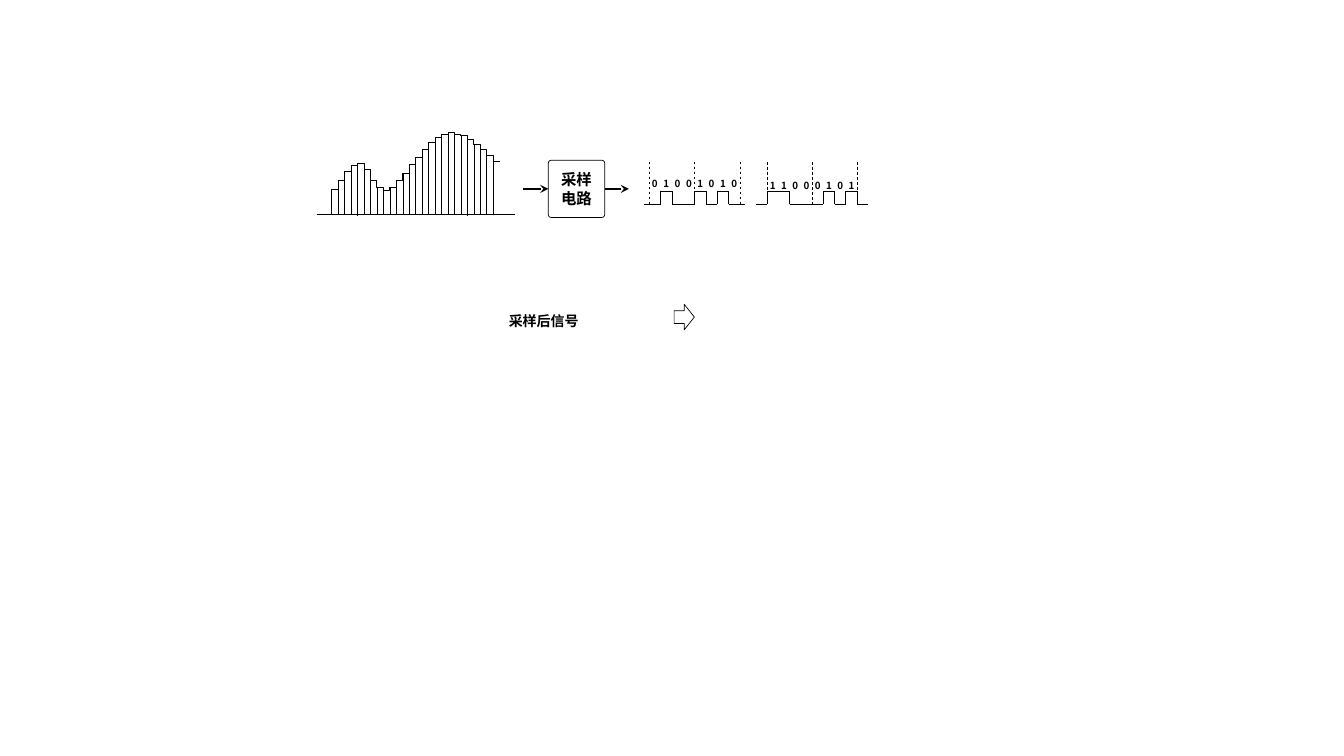
from dataclasses import dataclass

from lxml.etree import SubElement
from pptx import Presentation
from pptx.dml.color import RGBColor
from pptx.enum.dml import MSO_LINE_DASH_STYLE as Dash
from pptx.enum.shapes import MSO_CONNECTOR as Link, MSO_SHAPE as Preset
from pptx.enum.text import MSO_ANCHOR as Anchor, PP_ALIGN as Align
from pptx.oxml.ns import qn
from pptx.util import Cm, Pt


@dataclass(frozen=True)
class Theme:
    ink = RGBColor(0, 0, 0)
    paper = RGBColor(255, 255, 255)
    label_font = "DejaVu Sans Mono"
    bit_font = "Noto Sans CJK SC"
    bit_size, label_size, circuit_size = 7, 10, 11
    dotted, thin, thick = 0.25, 0.5, 1


@dataclass(frozen=True)
class Box:
    """A region, in centimetres."""
    left: float
    top: float
    width: float
    height: float

    @property
    def right(self):
        return self.left + self.width

    @property
    def bottom(self):
        return self.top + self.height

    @property
    def lengths(self):
        return Cm(self.left), Cm(self.top), Cm(self.width), Cm(self.height)


THEME = Theme()
SAMPLE_HEIGHTS = [
    0.64, 0.86, 1.09, 1.24, 1.30, 1.14, 0.86, 0.69, 0.61, 0.69, 0.86, 1.04, 1.27,
    1.45, 1.65, 1.83, 1.96, 2.03, 2.08, 2.03, 2.01, 1.91, 1.78, 1.65, 1.50, 1.35,
]


# Drawing helpers
def set_outline(shape, width=THEME.thin):
    shape.line.color.rgb = THEME.ink
    shape.line.width = Pt(width)


def add_line(page, start, end, width=THEME.thin, dash=None, arrow=False):
    line = page.shapes.add_connector(Link.STRAIGHT, *map(Cm, start + end))
    set_outline(line, width)
    if dash:
        line.line.dash_style = dash
    if arrow:
        SubElement(line.line._get_or_add_ln(), qn("a:tailEnd"), type="stealth")
    SubElement(line._element.spPr, qn("a:effectLst"))


def add_preset(page, preset, box):
    shape = page.shapes.add_shape(preset, *box.lengths)
    shape.shadow.inherit = False
    set_outline(shape)
    return shape


def write_text(shape, text, size, font):
    frame = shape.text_frame
    frame.word_wrap = True
    frame.vertical_anchor = Anchor.MIDDLE
    frame.margin_left = frame.margin_right = frame.margin_top = frame.margin_bottom = 0
    frame.text = text
    for para in frame.paragraphs:
        para.alignment = Align.CENTER
        for span in para.runs:
            span.font.size = Pt(size)
            span.font.bold = True
            span.font.name = font
            span.font.color.rgb = THEME.ink
            SubElement(span.font._element, qn("a:ea"), typeface=font)


def add_text(page, box, text, size, font):
    write_text(page.shapes.add_textbox(*box.lengths), text, size, font)


# Sampled staircase signal
def draw_samples(page, box, heights, overhang):
    step = box.width / len(heights)
    levels = [box.bottom - height for height in heights]
    edges = [box.left + index * step for index in range(len(levels) + 1)]

    for edge, level in zip(edges[1:], levels[1:]):
        add_line(page, (edge, level), (edge, box.bottom), THEME.dotted, Dash.ROUND_DOT)

    corners = [(Cm(x), Cm(level))
               for left, right, level in zip(edges, edges[1:], levels)
               for x in (left, right)]
    outline = page.shapes.build_freeform(*corners[0])
    outline.add_line_segments(corners[1:], close=False)
    stairs = outline.convert_to_shape()
    stairs.shadow.inherit = False
    stairs.fill.background()
    set_outline(stairs)

    add_line(page, (box.left, levels[0]), (box.left, box.bottom))
    before, after = overhang
    add_line(page, (box.left - before, box.bottom), (box.right + after, box.bottom))


# Sampling circuit with its input and output arrows
def draw_circuit(page, box, text):
    block = add_preset(page, Preset.ROUNDED_RECTANGLE, box)
    block.adjustments[0] = 0.048
    block.fill.solid()
    block.fill.fore_color.rgb = THEME.paper
    write_text(block, text, THEME.circuit_size, THEME.label_font)
    middle = box.top + box.height / 2
    for start, end in ((box.left - 0.63, box.left), (box.right, box.right + 0.61)):
        add_line(page, (start, middle), (end, middle), THEME.thick, arrow=True)


# Pulse train with a digit above each bit
def draw_pulses(page, box, bits, stub, digit_drop):
    step = box.width / len(bits)
    low, high = box.bottom, box.bottom - 0.33

    add_line(page, (box.left - stub, low), (box.left, low))
    for index, bit in enumerate(bits):
        left = box.left + index * step
        level = high if bit == "1" else low
        add_line(page, (left, level), (left + step, level))
        if index and bit != bits[index - 1]:
            add_line(page, (left, high), (left, low))
        add_text(page, Box(left, box.top + digit_drop, step, 0.23), bit,
                 THEME.bit_size, THEME.bit_font)
    for bit, edge in ((bits[0], box.left), (bits[-1], box.right)):
        if bit == "1":
            add_line(page, (edge, high), (edge, low))
    add_line(page, (box.right, low), (box.right + stub, low))

    for share in (0, 0.5, 1):
        guide = box.left + share * box.width
        add_line(page, (guide, box.top), (guide, low), dash=Dash.DASH)


# Caption and block arrow
def draw_caption(page, box, text):
    add_text(page, Box(box.left, box.top + 0.2, 1.8, 0.43), text,
             THEME.label_size, THEME.label_font)
    arrow = add_preset(page, Preset.RIGHT_ARROW,
                       Box(box.right - 0.51, box.top, 0.51, box.height))
    arrow.fill.background()


def main():
    deck = Presentation()
    deck.slide_width, deck.slide_height = Cm(33.87), Cm(19.05)
    page = deck.slides.add_slide(deck.slide_layouts[6])

    draw_samples(page, Box(8.36, 3.33, 4.23, 2.08), SAMPLE_HEIGHTS, overhang=(0.38, 0.39))
    draw_circuit(page, Box(13.82, 4.04, 1.42, 1.44), "采样\n电路")
    draw_pulses(page, Box(16.36, 4.07, 2.29, 1.07), "01001010", stub=0.13, digit_drop=0.44)
    draw_pulses(page, Box(19.33, 4.08, 2.27, 1.07), "11000101", stub=0.28, digit_drop=0.47)
    draw_caption(page, Box(12.8, 7.67, 4.7, 0.64), "采样后信号")

    deck.save("out.pptx")


if __name__ == "__main__":
    main()
